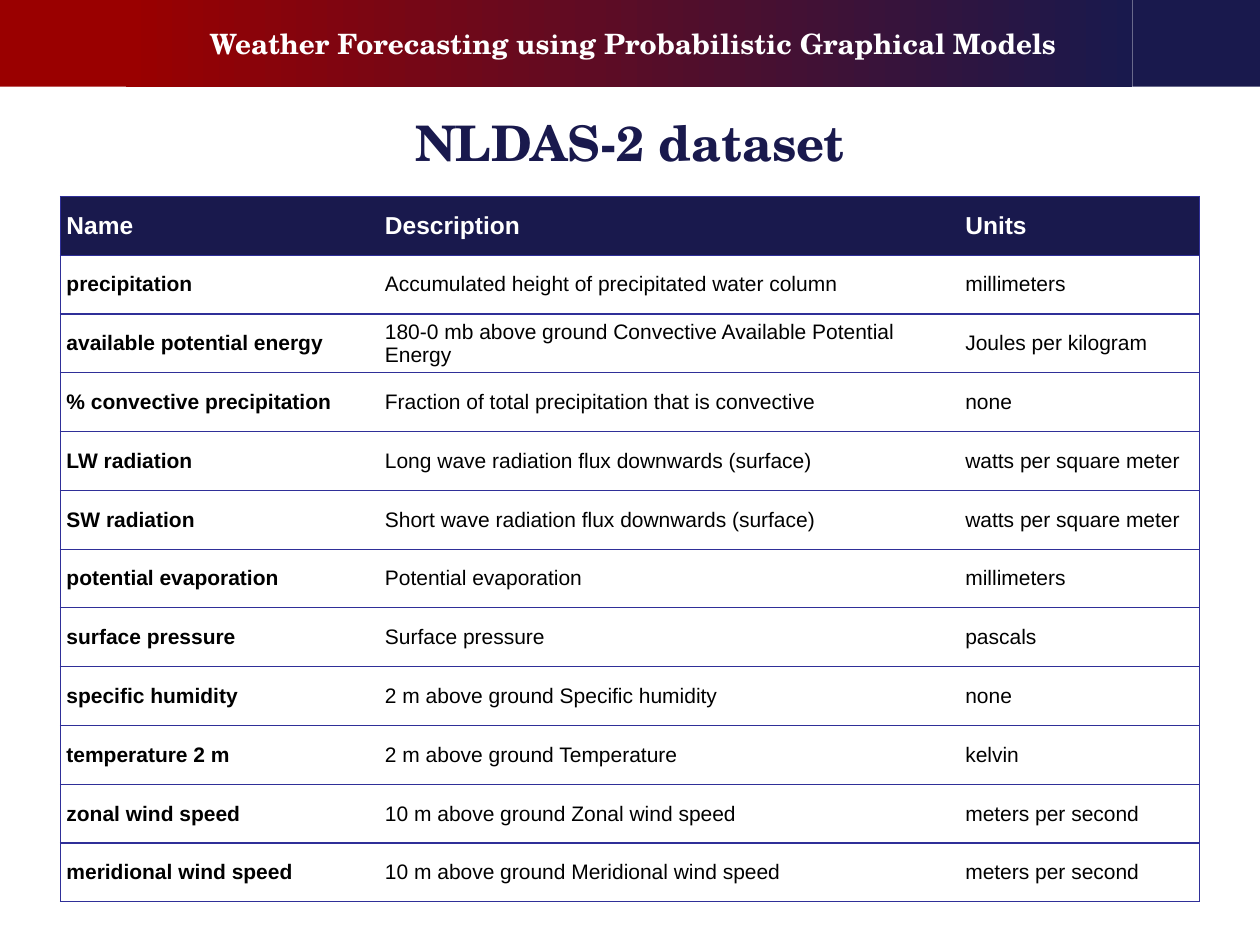
from lxml import etree
from pptx import Presentation
from pptx.dml.color import RGBColor
from pptx.enum import shapes, text
from pptx.oxml.ns import qn
from pptx.util import Cm, Pt

NAVY, RED, RULE = "19194D", "9A0000", "2F2F98"
WHITE, BLACK = "FFFFFF", "000000"
SERIF, SANS = "TeX Gyre Schola", "Arial"
BAND_HEIGHT = 1.75
COLUMN_WIDTHS = (6.42, 11.7, 4.84)
ROW_HEIGHT = 1.185

VARIABLES = [
    ("Name", "Description", "Units"),
    ("precipitation", "Accumulated height of precipitated water column", "millimeters"),
    ("available potential energy",
     "180-0 mb above ground Convective Available Potential Energy", "Joules per kilogram"),
    ("% convective precipitation", "Fraction of total precipitation that is convective", "none"),
    ("LW radiation", "Long wave radiation flux downwards (surface)", "watts per square meter"),
    ("SW radiation", "Short wave radiation flux downwards (surface)", "watts per square meter"),
    ("potential evaporation", "Potential evaporation", "millimeters"),
    ("surface pressure", "Surface pressure", "pascals"),
    ("specific humidity", "2 m above ground Specific humidity", "none"),
    ("temperature 2 m", "2 m above ground Temperature", "kelvin"),
    ("zonal wind speed", "10 m above ground Zonal wind speed", "meters per second"),
    ("meridional wind speed", "10 m above ground Meridional wind speed", "meters per second"),
]


def color(value):
    return RGBColor.from_string(value)


def set_attrs(obj, **values):
    for name, value in values.items():
        setattr(obj, name, value)


def write(tf, words, size, font, ink, bold, align):
    p = tf.paragraphs[0]
    p.alignment = align
    r = p.add_run()
    r.text = words
    set_attrs(r.font, size=Pt(size), name=font, bold=bold)
    r.font.color.rgb = color(ink)


def add_band(s, left, width, *colors):
    """A header block: one colour is solid, two make a gradient."""
    sp = s.shapes.add_shape(shapes.MSO_SHAPE.RECTANGLE, Cm(left), 0, Cm(width), Cm(BAND_HEIGHT))
    sp.shadow.inherit = False
    sp.line.fill.background()
    if len(colors) == 1:
        sp.fill.solid()
        sp.fill.fore_color.rgb = color(colors[0])
    else:
        sp.fill.gradient()
        sp.fill.gradient_angle = 0
        for stop, value, position in zip(sp.fill.gradient_stops, colors, (0, 1)):
            stop.color.rgb = color(value)
            stop.position = position


def add_heading(s, box, words, size, ink):
    tf = s.shapes.add_textbox(*map(Cm, box)).text_frame
    set_attrs(tf, word_wrap=True, vertical_anchor=text.MSO_ANCHOR.MIDDLE,
              margin_top=0, margin_bottom=0)
    write(tf, words, size, SERIF, ink, True, text.PP_ALIGN.CENTER)


def set_borders(cell, left, right):
    """Rule above and below; the sides only where asked."""
    tc_pr = cell._tc.get_or_add_tcPr()
    for side, shown in (("L", left), ("R", right), ("T", True), ("B", True)):
        ln = etree.SubElement(tc_pr, qn(f"a:ln{side}"), w=str(Pt(0.75)))
        if shown:
            fill = etree.SubElement(ln, qn("a:solidFill"))
            etree.SubElement(fill, qn("a:srgbClr"), val=RULE)
        else:
            etree.SubElement(ln, qn("a:noFill"))


def add_variable_table(s, left, top):
    rows, cols = len(VARIABLES), len(COLUMN_WIDTHS)
    table = s.shapes.add_table(rows, cols, Cm(left), Cm(top), Cm(sum(COLUMN_WIDTHS)),
                               Cm(rows * ROW_HEIGHT)).table
    set_attrs(table, first_row=False, horz_banding=False)
    for column, width in zip(table.columns, COLUMN_WIDTHS):
        column.width = Cm(width)
    for i, values in enumerate(VARIABLES):
        table.rows[i].height = Cm(ROW_HEIGHT)
        header = i == 0
        for j, words in enumerate(values):
            cell = table.cell(i, j)
            set_attrs(cell, vertical_anchor=text.MSO_ANCHOR.MIDDLE, margin_left=Cm(0.12),
                      margin_right=Cm(0.12), margin_top=0, margin_bottom=0)
            set_borders(cell, j == 0, j == cols - 1)
            if header:
                cell.fill.solid()
                cell.fill.fore_color.rgb = color(NAVY)
            else:
                cell.fill.background()
            write(cell.text_frame, words, 14 if header else 12, SANS,
                  WHITE if header else BLACK, header or j == 0, text.PP_ALIGN.LEFT)


def main():
    prs = Presentation()
    set_attrs(prs, slide_width=Cm(25.4), slide_height=Cm(19.05))
    s = prs.slides.add_slide(prs.slide_layouts[6])

    # Header band
    add_band(s, 22.83, 2.57, NAVY)
    add_band(s, 2.54, 20.29, RED, NAVY)
    add_band(s, 0, 2.54, RED)
    add_heading(s, (2.54, 0.41, 20.45, 0.94),
                "Weather Forecasting using Probabilistic Graphical Models", 16, WHITE)

    # Title and table
    add_heading(s, (1.22, 2.08, 22.96, 1.55), "NLDAS-2 dataset", 28, NAVY)
    add_variable_table(s, 1.22, 3.96)

    prs.save("out.pptx")


if __name__ == "__main__":
    main()
